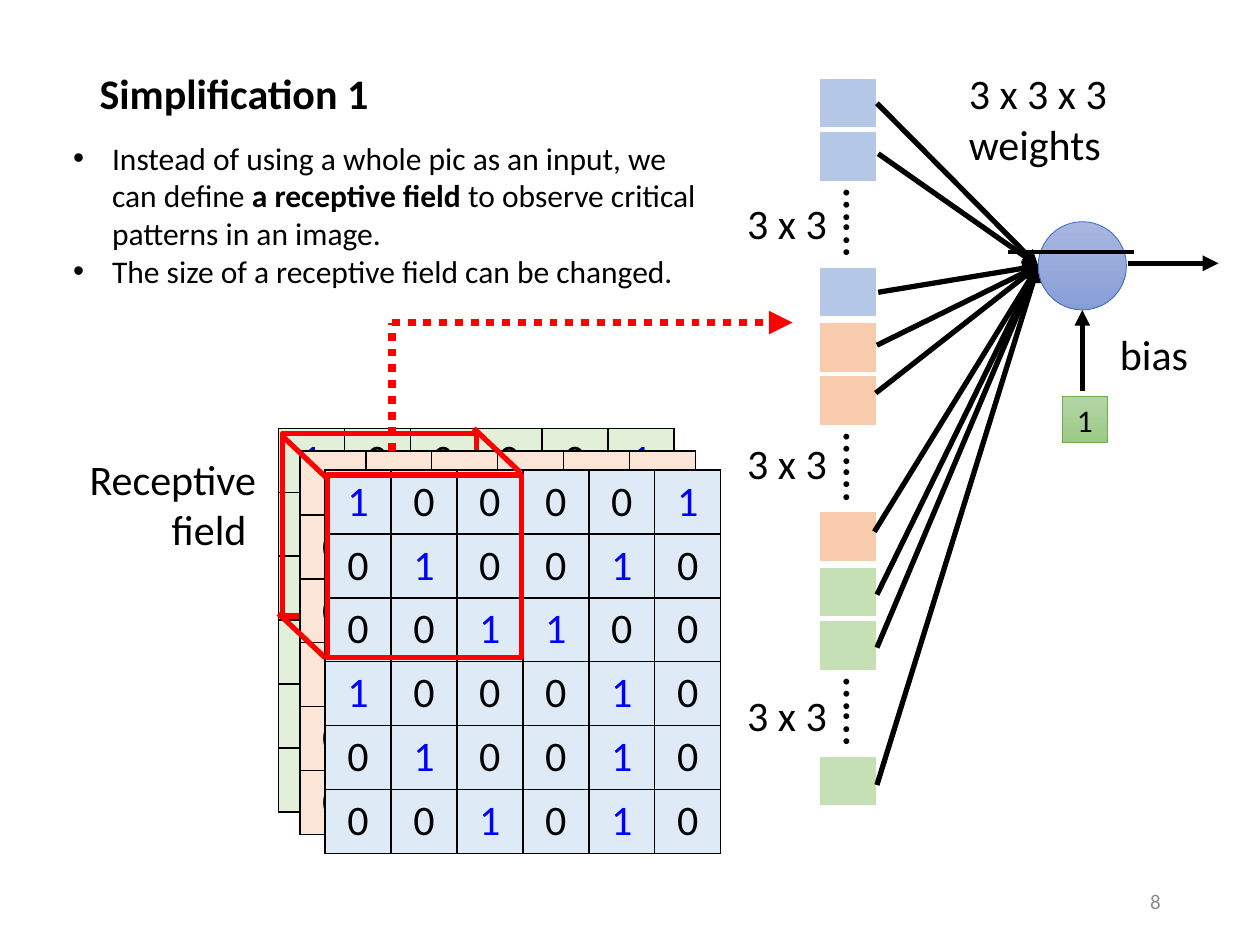
from lxml import etree
from pptx import Presentation
from pptx import util as u
from pptx.dml.color import RGBColor
from pptx.enum import dml, shapes, text
from pptx.oxml import ns

BLACK = RGBColor(0x00, 0x00, 0x00)
WHITE = RGBColor(0xFF, 0xFF, 0xFF)
RED = RGBColor(0xFF, 0x00, 0x00)
ONE_BLUE = RGBColor(0x00, 0x00, 0xFF)
GRAY = RGBColor(0x8C, 0x8C, 0x8C)
PALE_GREEN = RGBColor(0xE2, 0xF0, 0xD9)
PALE_ORANGE = RGBColor(0xFB, 0xE5, 0xD6)
PALE_BLUE = RGBColor(0xDE, 0xEB, 0xF7)
BLUE = RGBColor(0xB4, 0xC7, 0xE7)
ORANGE = RGBColor(0xF8, 0xCB, 0xAD)
GREEN = RGBColor(0xC5, 0xE0, 0xB4)
NEURON_TOP = RGBColor(0xA8, 0xB7, 0xDF)
NEURON_BOTTOM = RGBColor(0x88, 0x9E, 0xD7)
NEURON_EDGE = RGBColor(0x44, 0x72, 0xC4)
BIAS_TOP = RGBColor(0xB5, 0xD5, 0xA7)
BIAS_BOTTOM = RGBColor(0x9C, 0xC9, 0x87)
BIAS_EDGE = RGBColor(0x70, 0xAD, 0x47)

LEFT, CENTER, RIGHT = text.PP_ALIGN.LEFT, text.PP_ALIGN.CENTER, text.PP_ALIGN.RIGHT
CHANNEL_ROWS = ["100001", "010010", "001100", "100010", "010010", "001010"]
CELL_WIDTH, CELL_HEIGHT = 0.46, 0.41
NEURON_INPUT = (8.24, 2.11)
# Top of each input group, its colour, label top and the starts of its weights
INPUT_GROUPS = [
    (0.62, BLUE, 1.52, [(6.96, 0.82), (6.97, 1.22), (6.97, 2.32)]),
    (2.56, ORANGE, 3.42, [(6.96, 2.74), (6.95, 3.12), (6.94, 4.22)]),
    (4.50, GREEN, 5.42, [(6.96, 4.72), (6.96, 5.14), (6.96, 6.23)]),
]
SIGMOID = [
    [(8.84, 1.91), (8.75, 1.90), (8.66, 1.89), (8.60, 1.95)],
    [(8.60, 1.95), (8.54, 2.01), (8.52, 2.20), (8.48, 2.26)],
    [(8.48, 2.26), (8.43, 2.31), (8.38, 2.29), (8.32, 2.27)],
]


def bezier_point(controls, t):
    weights = [(1 - t) ** 3, 3 * t * (1 - t) ** 2, 3 * t * t * (1 - t), t ** 3]
    return tuple(sum(w * c[axis] for w, c in zip(weights, controls)) for axis in (0, 1))


class SlideBuilder:
    font_name = "Calibri"

    def __init__(self, slide):
        self.slide = slide

    def format_run(self, run, size, color=BLACK, bold=False):
        run.font.name = self.font_name
        run.font.size = u.Pt(size)
        run.font.color.rgb = color
        run.font.bold = bold

    def place(self, shape, box):
        shape.left, shape.top, shape.width, shape.height = map(u.Inches, box)

    def title(self, box, words):
        shape = self.slide.shapes.title
        self.place(shape, box)
        frame = shape.text_frame
        frame.text = words
        frame.auto_size = text.MSO_AUTO_SIZE.NONE
        frame.vertical_anchor = text.MSO_ANCHOR.MIDDLE
        frame.paragraphs[0].alignment = LEFT
        frame.paragraphs[0].line_spacing = 0.9
        self.format_run(frame.paragraphs[0].runs[0], 24, bold=True)

    def bullets(self, box, items):
        """Each item is a list of (words, bold) pairs."""
        shape = self.slide.placeholders[1]
        self.place(shape, box)
        frame = shape.text_frame
        frame.auto_size = text.MSO_AUTO_SIZE.NONE
        for index, item in enumerate(items):
            paragraph = frame.add_paragraph() if index else frame.paragraphs[0]
            properties = paragraph._p.get_or_add_pPr()
            properties.set("marL", str(u.Inches(0.31)))
            properties.set("indent", str(u.Inches(-0.31)))
            etree.SubElement(properties, ns.qn("a:buFont"), typeface="Arial")
            etree.SubElement(properties, ns.qn("a:buChar"), char="•")
            paragraph.space_before = u.Pt(0)
            for words, bold in item:
                run = paragraph.add_run()
                run.text = words
                self.format_run(run, 18, bold=bold)

    def label(self, box, words, size=24, align=LEFT, color=BLACK, rotation=0,
              anchor=text.MSO_ANCHOR.TOP):
        shape = self.slide.shapes.add_textbox(*map(u.Inches, box))
        shape.rotation = rotation
        frame = shape.text_frame
        frame.word_wrap = True
        frame.vertical_anchor = anchor
        frame.text = words
        frame.paragraphs[0].alignment = align
        self.format_run(frame.paragraphs[0].runs[0], size, color)

    def table(self, box, rows, columns):
        table = self.slide.shapes.add_table(rows, columns, *map(u.Inches, box)).table
        table.first_row = table.horz_banding = False
        return table

    def cell_style(self, cell, fill, edge, bottom=1):
        properties = cell._tc.get_or_add_tcPr()
        for side in "LRTB":
            width = bottom if side == "B" else 1
            line = etree.SubElement(properties, ns.qn("a:ln" + side), w=str(u.Pt(width)))
            solid = etree.SubElement(line, ns.qn("a:solidFill"))
            etree.SubElement(solid, ns.qn("a:srgbClr"), val=str(edge))
        cell.fill.solid()
        cell.fill.fore_color.rgb = fill

    def channel(self, left, top, fill):
        table = self.table((left, top, 3.14, 3), 6, 6)
        for r, digits in enumerate(CHANNEL_ROWS):
            for c, digit in enumerate(digits):
                cell = table.cell(r, c)
                self.cell_style(cell, fill, BLACK)
                cell.text_frame.text = digit
                paragraph = cell.text_frame.paragraphs[0]
                paragraph.alignment = CENTER
                self.format_run(paragraph.runs[0], 24, ONE_BLUE if digit == "1" else BLACK)

    def input_cells(self, top, count, fill):
        table = self.table((6.5, top, CELL_WIDTH, count * CELL_HEIGHT), count, 1)
        for r in range(count):
            self.cell_style(table.cell(r, 0), fill, WHITE, 1 if r else 3)

    def shape(self, kind, box, edge, width, gradient=None):
        shape = self.slide.shapes.add_shape(kind, *map(u.Inches, box))
        shape.shadow.inherit = False
        shape.line.color.rgb = edge
        shape.line.width = u.Pt(width)
        if gradient:
            shape.fill.gradient()
            shape.fill.gradient_angle = 270
            for stop, color in zip(shape.fill.gradient_stops, gradient):
                stop.color.rgb = color
        else:
            shape.fill.background()
        return shape

    def line(self, start, end, color=BLACK, width=3, arrow=True, dash=None):
        connector = self.slide.shapes.add_connector(
            shapes.MSO_CONNECTOR.STRAIGHT, *map(u.Inches, start + end))
        connector.line.color.rgb = color
        connector.line.width = u.Pt(width)
        if dash:
            connector.line.dash_style = dash
        if arrow:
            etree.SubElement(connector.line._get_or_add_ln(), ns.qn("a:tailEnd"), type="triangle")
        etree.SubElement(connector._element.spPr, ns.qn("a:effectLst"))

    def curve(self, segments, width):
        points = [bezier_point(s, step / 12) for s in segments for step in range(13)]
        builder = self.slide.shapes.build_freeform(*points[0], scale=u.Inches(1))
        builder.add_line_segments(points[1:], close=False)
        shape = builder.convert_to_shape()
        shape.shadow.inherit = False
        shape.fill.background()
        shape.line.color.rgb = BLACK
        shape.line.width = u.Pt(width)


def main():
    presentation = Presentation()
    presentation.slide_width, presentation.slide_height = u.Inches(10), u.Inches(7.5)
    b = SlideBuilder(presentation.slides.add_slide(presentation.slide_layouts[1]))
    rectangle = shapes.MSO_SHAPE.RECTANGLE

    b.title((0.69, 0.4, 8.62, 0.72), "Simplification 1")
    b.bullets((0.48, 1.05, 5.29, 1.31), [
        [("Instead of using a whole pic as an input, we can define ", False),
         ("a receptive field ", True),
         ("to observe critical patterns in an image.", False)],
        [("The size of a receptive field can be changed.", False)],
    ])

    b.channel(2.21, 3.4, PALE_GREEN)
    b.shape(rectangle, (2.24, 3.44, 1.54, 1.45), RED, 3)
    b.channel(2.38, 3.58, PALE_ORANGE)
    b.channel(2.58, 3.73, PALE_BLUE)
    b.shape(rectangle, (2.6, 3.77, 1.54, 1.45), RED, 3)
    for x, y in [(2.21, 4.87), (3.76, 3.4), (2.24, 3.46)]:
        b.line((x, y), (x + 0.37, y + 0.35), RED, arrow=False)
    b.label((0.59, 3.55, 1.54, 0.91), "Receptive field ", align=RIGHT)

    for top, color, label_top, weight_starts in INPUT_GROUPS:
        b.input_cells(top, 2, color)
        b.input_cells(top + 1.5, 1, color)
        b.label((6.44, top + 0.9, 0.82, 0.57), "…...", 28, rotation=90)
        b.label((5.74, label_top, 0.92, 0.5), "3 x 3", align=RIGHT)
        for start in weight_starts:
            b.line(start, NEURON_INPUT)

    b.shape(shapes.MSO_SHAPE.OVAL, (8.24, 1.76, 0.7, 0.7), NEURON_EDGE, 0.5,
            (NEURON_TOP, NEURON_BOTTOM))
    b.curve(SIGMOID, 2.25)
    b.line((8.95, 2.09), (9.67, 2.09))
    dots = dml.MSO_LINE.ROUND_DOT
    b.line((3.11, 3.58), (3.11, 2.56), RED, 4.5, arrow=False, dash=dots)
    b.line((3.11, 2.56), (6.29, 2.56), RED, 4.5, dash=dots)

    b.label((7.59, 0.49, 1.31, 0.91), "3 x 3 x 3 weights")
    b.line((8.59, 3.1), (8.59, 2.46))
    b.shape(rectangle, (8.43, 3.15, 0.36, 0.36), BIAS_EDGE, 0.5, (BIAS_TOP, BIAS_BOTTOM))
    b.label((8.43, 3.13, 0.36, 0.4), "1", 18, CENTER, anchor=text.MSO_ANCHOR.MIDDLE)
    b.label((8.79, 2.56, 1.2, 0.5), "bias")
    b.label((7.06, 6.95, 2.25, 0.4), "8", 12, RIGHT, GRAY, anchor=text.MSO_ANCHOR.MIDDLE)
    presentation.save("out.pptx")


if __name__ == "__main__":
    main()
